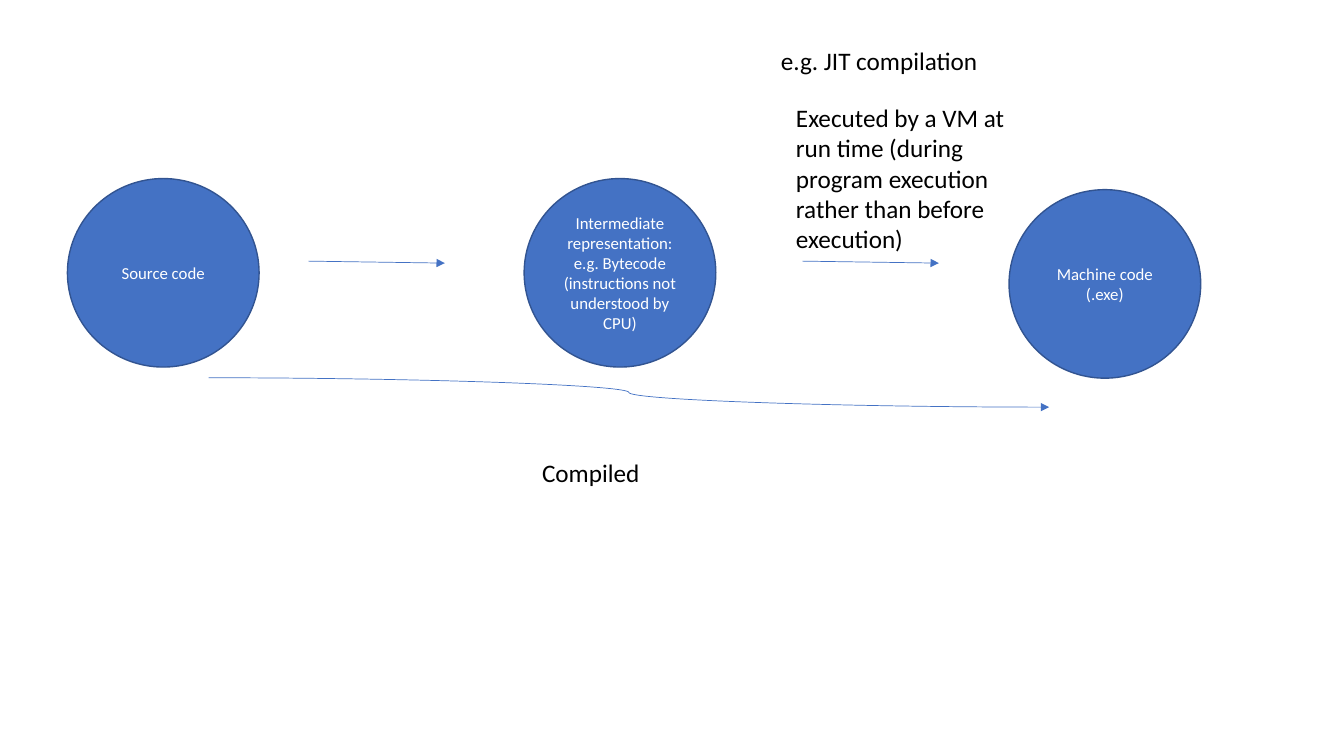
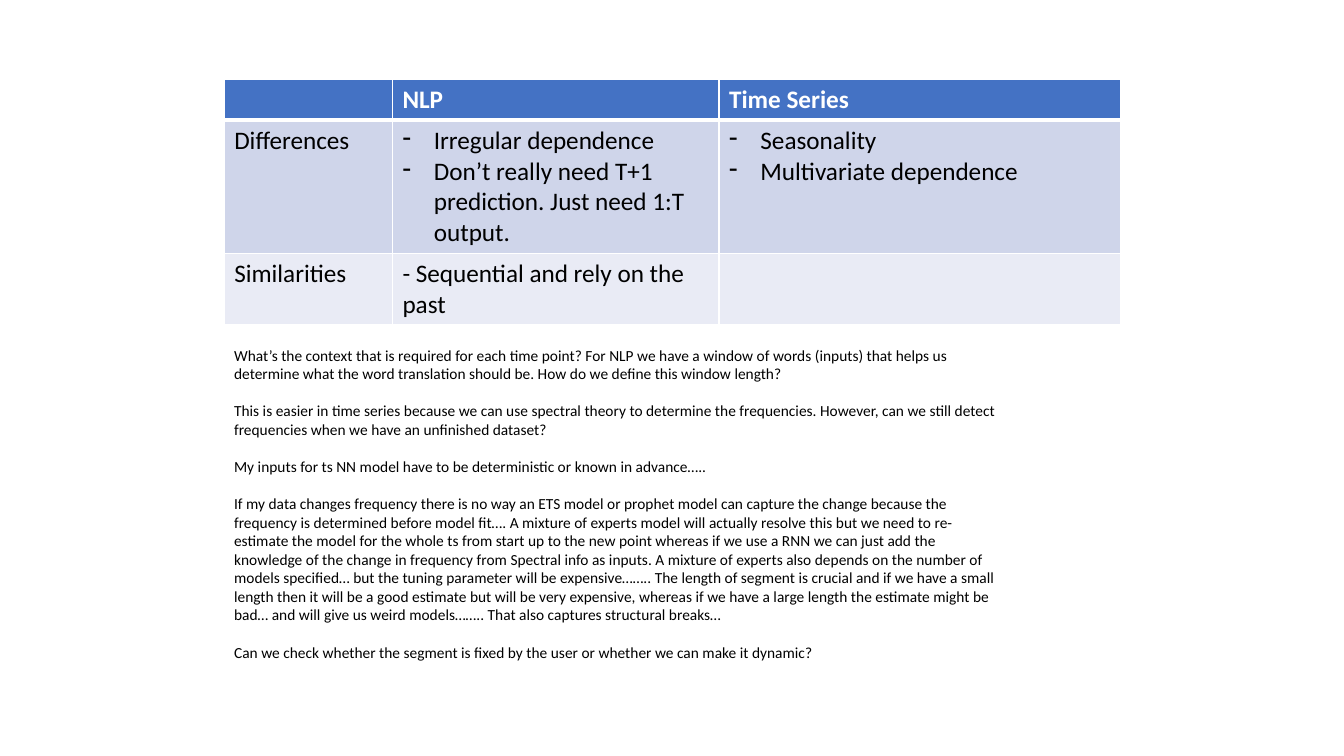
from lxml.etree import SubElement
from pptx import Presentation
from pptx.dml.color import RGBColor
from pptx.enum.shapes import MSO_CONNECTOR, MSO_SHAPE
from pptx.enum.text import MSO_ANCHOR, MSO_AUTO_SIZE, PP_ALIGN
from pptx.oxml.ns import qn
from pptx.util import Cm, Pt

COLORS = {
    "accent": "4472C4",
    "outline": "325491",
    "white": "FFFFFF",
    "black": "000000",
    "band_dark": "CFD5EA",
    "band_light": "E9EBF5",
}
FONT = "Calibri"


def rgb(name):
    return RGBColor.from_string(COLORS[name])


def write(tf, lines, size, color="black", bold=False, align=PP_ALIGN.LEFT,
          gap=0, dash=False):
    """Fill a text frame with one paragraph per line."""
    for i, line in enumerate(lines):
        p = tf.paragraphs[0] if i == 0 else tf.add_paragraph()
        p.alignment = align
        if gap and i:
            p.space_before = Pt(gap)
        if dash:
            pPr = p._p.get_or_add_pPr()
            pPr.set("marL", str(Cm(0.79)))
            pPr.set("indent", str(-Cm(0.79)))
            SubElement(pPr, qn("a:buChar")).set("char", "-")
        r = p.add_run()
        r.text = line
        r.font.name = FONT
        r.font.size = Pt(size)
        r.font.bold = bold
        r.font.color.rgb = rgb(color)


def add_text(s, x, y, w, h, lines, size=18, gap=0):
    tb = s.shapes.add_textbox(Cm(x), Cm(y), Cm(w), Cm(h))
    tf = tb.text_frame
    tf.word_wrap = True
    tf.auto_size = MSO_AUTO_SIZE.SHAPE_TO_FIT_TEXT
    write(tf, lines, size, gap=gap)


def add_circle(s, x, y, lines):
    sp = s.shapes.add_shape(MSO_SHAPE.OVAL, Cm(x), Cm(y), Cm(4.83), Cm(4.75))
    sp.shadow.inherit = False
    sp.fill.solid()
    sp.fill.fore_color.rgb = rgb("accent")
    sp.line.color.rgb = rgb("outline")
    sp.line.width = Pt(1)
    tf = sp.text_frame
    tf.word_wrap = True
    tf.vertical_anchor = MSO_ANCHOR.MIDDLE
    write(tf, lines, 12, "white", align=PP_ALIGN.CENTER)


def add_arrow(s, kind, x1, y1, x2, y2):
    cx = s.shapes.add_connector(kind, Cm(x1), Cm(y1), Cm(x2), Cm(y2))
    cx.line.color.rgb = rgb("accent")
    cx.line.width = Pt(0.5)
    spPr = cx.element.spPr
    SubElement(spPr.find(qn("a:ln")), qn("a:tailEnd")).set("type", "triangle")
    SubElement(spPr, qn("a:effectLst"))


def compilation_flow(s, x, y):
    # Stages
    for dx, dy, lines in [
        (0, 3.48, ["Source code"]),
        (11.51, 3.48, ["Intermediate representation:",
                       "e.g. Bytecode (instructions not understood by CPU)"]),
        (23.73, 3.76, ["Machine code", "(.exe)"]),
    ]:
        add_circle(s, x + dx, y + dy, lines)

    # Steps between stages, and the direct route below them
    for dx in (6.07, 18.52):
        add_arrow(s, MSO_CONNECTOR.STRAIGHT,
                  x + dx, y + 5.56, x + dx + 3.44, y + 5.61)
    add_arrow(s, MSO_CONNECTOR.CURVE, x + 3.56, y + 8.5, x + 24.74, y + 9.24)

    # Labels
    for dx, dy, w, h, label in [
        (11.71, 10.38, 7.52, 1.02, "Compiled"),
        (17.73, 0, 5.79, 1.02, "e.g. JIT compilation"),
        (18.11, 1.44, 6.17, 4.11,
         "Executed by a VM at run time (during program execution "
         "rather than before execution)"),
    ]:
        add_text(s, x + dx, y + dy, w, h, [label])


def set_borders(cell, **widths):
    tcPr = cell._tc.get_or_add_tcPr()
    for side in "LRTB":
        ln = SubElement(tcPr, qn("a:ln" + side))
        ln.set("w", str(Pt(widths.get(side, 1))))
        fill = SubElement(ln, qn("a:solidFill"))
        SubElement(fill, qn("a:srgbClr")).set("val", COLORS["white"])


def comparison_table(s, x, y):
    rows = [
        [[], ["NLP"], ["Time Series"]],
        [["Differences"],
         ["Irregular dependence",
          "Don’t really need T+1 prediction. Just need 1:T output."],
         ["Seasonality", "Multivariate dependence"]],
        [["Similarities"], ["- Sequential and rely on the past"], []],
    ]
    widths, heights = [4.24, 8.23, 10.11], [1.03, 3.35, 1.8]
    fills = ["accent", "band_dark", "band_light"]
    # The header is set off by a thicker rule
    rules = [{"B": 3}, {"T": 3}, {}]

    tbl = s.shapes.add_table(3, 3, Cm(x), Cm(y),
                             Cm(sum(widths)), Cm(sum(heights))).table
    tbl.horz_banding = False
    for col, w in zip(tbl.columns, widths):
        col.width = Cm(w)
    for i, row in enumerate(rows):
        tbl.rows[i].height = Cm(heights[i])
        for j, lines in enumerate(row):
            cell = tbl.cell(i, j)
            set_borders(cell, **rules[i])
            cell.fill.solid()
            cell.fill.fore_color.rgb = rgb(fills[i])
            write(cell.text_frame, lines, 18,
                  "white" if i == 0 else "black", bold=i == 0,
                  dash=len(lines) > 1)


def research_notes(s, x, y, w, h):
    add_text(s, x, y, w, h, [
        "What’s the context that is required for each time point? For NLP we "
        "have a window of words (inputs) that helps us determine what the word "
        "translation should be. How do we define this window length?",
        "This is easier in time series because we can use spectral theory to "
        "determine the frequencies. However, can we still detect frequencies "
        "when we have an unfinished dataset?",
        "My inputs for ts NN model have to be deterministic or known in "
        "advance…..",
        "If my data changes frequency there is no way an ETS model or prophet "
        "model can capture the change because the frequency is determined "
        "before model fit…. A mixture of experts model will actually resolve "
        "this but we need to re-estimate the model for the whole ts from start "
        "up to the new point whereas if we use a RNN we can just add the "
        "knowledge of the change in frequency from Spectral info as inputs. A "
        "mixture of experts also depends on the number of models specified… "
        "but the tuning parameter will be expensive…….. The length of segment "
        "is crucial and if we have a small length then it will be a good "
        "estimate but will be very expensive, whereas if we have a large "
        "length the estimate might be bad… and will give us weird models…….. "
        "That also captures structural breaks…",
        "Can we check whether the segment is fixed by the user or whether we "
        "can make it dynamic?",
    ], size=11, gap=13.4)


def main():
    prs = Presentation()
    prs.slide_width, prs.slide_height = Cm(33.87), Cm(19.05)
    blank = prs.slide_layouts[6]

    # Slide 1: from source code to machine code
    compilation_flow(prs.slides.add_slide(blank), 1.7, 1.02)

    # Slide 2: NLP against time series
    s = prs.slides.add_slide(blank)
    comparison_table(s, 5.65, 2)
    research_notes(s, 5.65, 8.59, 19.89, 8.26)

    prs.save("out.pptx")


if __name__ == "__main__":
    main()
